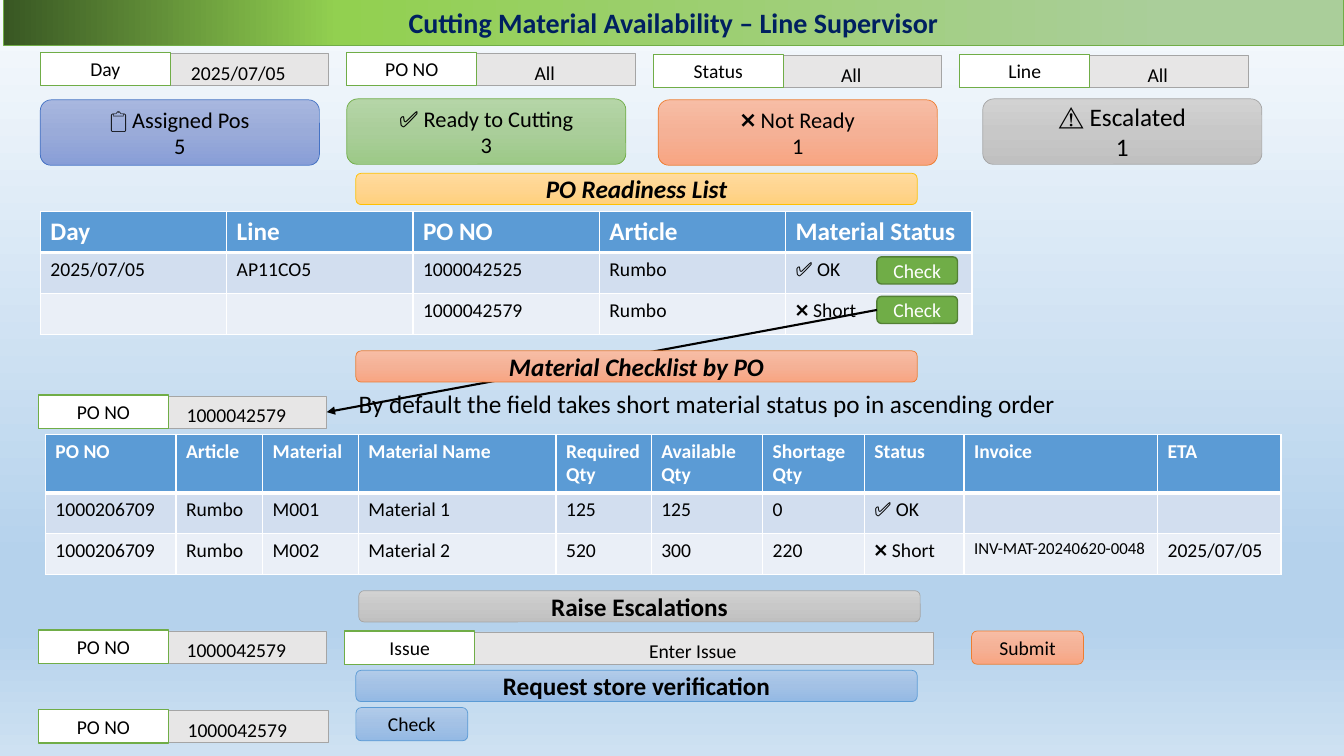
import pptx
import pptx.dml.color
import pptx.enum.shapes
import pptx.enum.text
import pptx.oxml.ns
import pptx.util
from lxml import etree

Pt = pptx.util.Pt
qn = pptx.oxml.ns.qn
SHAPE = pptx.enum.shapes.MSO_SHAPE
ALIGN = pptx.enum.text.PP_ALIGN
MIDDLE = pptx.enum.text.MSO_ANCHOR.MIDDLE

FONT = "Calibri"
TITLE = "Cutting Material Availability – Line Supervisor"
NOTE = "By default the field takes short material status po in ascending order"

BACKGROUND = [(0, "F7FAFD"), (74, "B5D2EC"), (83, "B5D2EC"), (100, "CEE1F2")]
TITLE_BAR = [(13, "AACE9A"), (75, "92D050"), (100, "385723")]

# name: (top, middle and bottom of the gradient, outline)
PALETTE = {
    "indigo": (("A8B7DF", "9AABD9", "889ED7"), "4472C4"),
    "green": (("B5D5A7", "AACE9A", "9CC987"), "70AD47"),
    "orange": (("F7BDA5", "F5B196", "F8A582"), "ED7D31"),
    "gray": (("D2D2D2", "C8C8C8", "C0C0C0"), "A5A5A5"),
    "blue": (("B1CBE9", "A3C1E5", "93B9E4"), "5B9BD5"),
    "gold": (("FFDB9E", "FFD590", "FFD07C"), "FFC000"),
}

# label, value, top
FILTERS = [("Day", "2025/07/05", 37.4), ("PO NO", "All", 37.4),
           ("Status", "All", 38.9), ("Line", "All", 38.9)]
# left, top, label, value, width
ESCALATION_FIELDS = [(27.4, 450, "PO NO", "1000042579", 206),
                     (246.2, 450.7, "Issue", "Enter Issue", 420.5),
                     (27.4, 506.9, "PO NO", "1000042579", 207.4)]
# left, top, lines, size, colour
CARDS = [(28.8, 71.3, ["📋 Assigned Pos", "5"], 16, "indigo"),
         (247.7, 70.6, ["✅ Ready to Cutting", "3"], 16, "green"),
         (470.2, 71.3, ["❌ Not Ready", "1"], 16, "orange"),
         (702, 70.6, ["⚠ Escalated", "1"], 18, "gray")]
# left, top, text, colour, italic
BANNERS = [(254.2, 123.8, "PO Readiness List", "gold", True),
           (254.2, 250.6, "Material Checklist by PO", "orange", True),
           (256.3, 421.9, "Raise Escalations", "gray", False),
           (254.2, 478.8, "Request store verification", "blue", False)]
# left, top, text, colour
BUTTONS = [(694, 450.7, "Submit", "orange"), (254.2, 505.4, "Check", "blue")]
CHECK_TOPS = [183.5, 211.7]

READINESS = [
    ["Day", "Line", "PO NO", "Article", "Material Status"],
    ["2025/07/05", "AP11CO5", "1000042525", "Rumbo", "✅ OK"],
    ["", "", "1000042579", "Rumbo", "❌ Short"],
]
CHECKLIST = [
    ["PO NO", "Article", "Material", "Material Name", "Required Qty",
     "Available Qty", "Shortage Qty", "Status", "Invoice", "ETA"],
    ["1000206709", "Rumbo", "M001", "Material 1", "125", "125", "0", "✅ OK", "", ""],
    ["1000206709", "Rumbo", "M002", "Material 2", "520", "300", "220", "❌ Short",
     "INV-MAT-20240620-0048", "2025/07/05"],
]
CHECKLIST_WIDTHS = [93.3, 61.9, 68.4, 141.2, 68, 79.6, 72.7, 71.2, 138.2, 88.2]
ROW_FILLS = ["5B9BD5", "D2DEEF", "EAEFF7"]

prs = pptx.Presentation()
prs.slide_width, prs.slide_height = Pt(960), Pt(540)
s = prs.slides.add_slide(prs.slide_layouts[5])


def rgb(value):
    return pptx.dml.color.RGBColor.from_string(value)


def gradient(fill, owner, stops, angle):
    """Fill with any number of stops; owner is the element that holds the fill."""
    fill.gradient()
    fill.gradient_angle = angle
    stop_list = owner.find(".//" + qn("a:gsLst"))
    del stop_list[:]
    for pos, color in stops:
        gs = etree.SubElement(stop_list, qn("a:gs"), pos=str(pos * 1000))
        etree.SubElement(gs, qn("a:srgbClr"), val=color)


def write(tf, lines, size, color="000000", bold=False, italic=False, align=ALIGN.CENTER):
    for i, line in enumerate(lines):
        p = tf.add_paragraph() if i else tf.paragraphs[0]
        p.alignment = align
        r = p.add_run()
        r.text = line
        r.font.name, r.font.size = FONT, Pt(size)
        r.font.bold, r.font.italic = bold, italic
        r.font.color.rgb = rgb(color)


def box(kind, x, y, w, h, line, line_width, fill=None):
    sp = s.shapes.add_shape(kind, Pt(x), Pt(y), Pt(w), Pt(h))
    sp.shadow.inherit = False
    sp.line.color.rgb = rgb(line)
    sp.line.width = Pt(line_width)
    if fill:
        sp.fill.solid()
        sp.fill.fore_color.rgb = rgb(fill)
    sp.text_frame.word_wrap = True
    sp.text_frame.vertical_anchor = MIDDLE
    return sp


def panel(x, y, w, h, lines, size, color, **style):
    """Rounded box with a soft gradient."""
    shades, line = PALETTE[color]
    sp = box(SHAPE.ROUNDED_RECTANGLE, x, y, w, h, line, 0.5)
    gradient(sp.fill, sp.element, zip((0, 50, 100), shades), 270)
    write(sp.text_frame, lines, size, **style)


def field(x, y, label, value, width=206):
    """Gray value box with a white label over its left end; returns the value box."""
    value_box = box(SHAPE.RECTANGLE, x, y + 0.7, width, 23, "A5A5A5", 0.5, "E7E6E6")
    tf = value_box.text_frame
    tf.margin_left, tf.margin_top, tf.margin_bottom = Pt(84), Pt(4), 0
    write(tf, [value], 14)
    tag = box(SHAPE.RECTANGLE, x, y, 92.9, 23.8, "70AD47", 1, "FFFFFF")
    write(tag.text_frame, [label], 14)
    return value_box


def table(x, y, rows, widths, header_height, header_size):
    heights = [header_height] + [29.2] * (len(rows) - 1)
    frame = s.shapes.add_table(len(rows), len(widths), Pt(x), Pt(y),
                               Pt(sum(widths)), Pt(sum(heights)))
    tbl = frame.table
    for column, width in zip(tbl.columns, widths):
        column.width = Pt(width)
    for i, texts in enumerate(rows):
        tbl.rows[i].height = Pt(heights[i])
        head = i == 0
        for j, text in enumerate(texts):
            cell = tbl.cell(i, j)
            cell.fill.solid()
            cell.fill.fore_color.rgb = rgb(ROW_FILLS[i])
            size = header_size if head else 12 if text.startswith("INV") else 14
            write(cell.text_frame, [text] if text else [], size,
                  "FFFFFF" if head else "000000", head, align=ALIGN.LEFT)
    for n, tc_pr in enumerate(frame.element.iter(qn("a:tcPr"))):
        i = n // len(widths)
        borders(tc_pr, {"L": 1, "R": 1, "T": 3 if i == 1 else 1, "B": 3 if i == 0 else 1})


def borders(tc_pr, widths):
    for i, (side, width) in enumerate(widths.items()):
        ln = etree.Element(qn("a:ln" + side), w=str(Pt(width)))
        solid = etree.SubElement(ln, qn("a:solidFill"))
        etree.SubElement(solid, qn("a:srgbClr"), val="FFFFFF")
        tc_pr.insert(i, ln)


gradient(s.background.fill, s.element, BACKGROUND, 270)

title = s.shapes.title
title.left, title.top, title.width, title.height = Pt(2.2), Pt(-0.7), Pt(957.6), Pt(33.1)
gradient(title.fill, title.element, TITLE_BAR, 180)
title.line.color.rgb = rgb("70AD47")
title.line.width = Pt(0.5)
title.text_frame.auto_size = pptx.enum.text.MSO_AUTO_SIZE.NONE
title.text_frame.vertical_anchor = MIDDLE
write(title.text_frame, [TITLE], 20, "002060", True)

for i, (label, value, y) in enumerate(FILTERS):
    field(28.8 + 218.9 * i, y, label, value)
for x, y, lines, size, color in CARDS:
    panel(x, y, 199.4, 46.8, lines, size, color)

table(28.8, 151.2, READINESS, [133.1] * 5, 29.2, 18)
table(32.4, 310.3, CHECKLIST, CHECKLIST_WIDTHS, 41.6, 14)

checklist_po = field(27.4, 282.2, "PO NO", "1000042579")
for args in ESCALATION_FIELDS:
    field(*args)

note = s.shapes.add_textbox(Pt(249.1), Pt(274), Pt(586.8), Pt(29))
note.text_frame.word_wrap = True
write(note.text_frame, [NOTE], 18, align=ALIGN.LEFT)

for y in CHECK_TOPS:
    check = box(SHAPE.ROUNDED_RECTANGLE, 626.4, y, 57.6, 19.4, "538035", 1, "70AD47")
    write(check.text_frame, ["Check"], 14, "FFFFFF")

arrow = s.shapes.add_connector(pptx.enum.shapes.MSO_CONNECTOR.STRAIGHT, 0, 0, 0, 0)
arrow.begin_connect(check, 1)
arrow.end_connect(checklist_po, 3)
arrow.line.color.rgb = rgb("000000")
arrow.line.width = Pt(1.5)
etree.SubElement(arrow.element.find(".//" + qn("a:ln")), qn("a:tailEnd"), type="triangle")
etree.SubElement(arrow.element.spPr, qn("a:effectLst"))

for x, y, text, color, italic in BANNERS:
    panel(x, y, 401, 22.3, [text], 18, color, bold=True, italic=italic)
for x, y, text, color in BUTTONS:
    panel(x, y, 79.9, 23.8, [text], 14, color)

prs.save("out.pptx")
